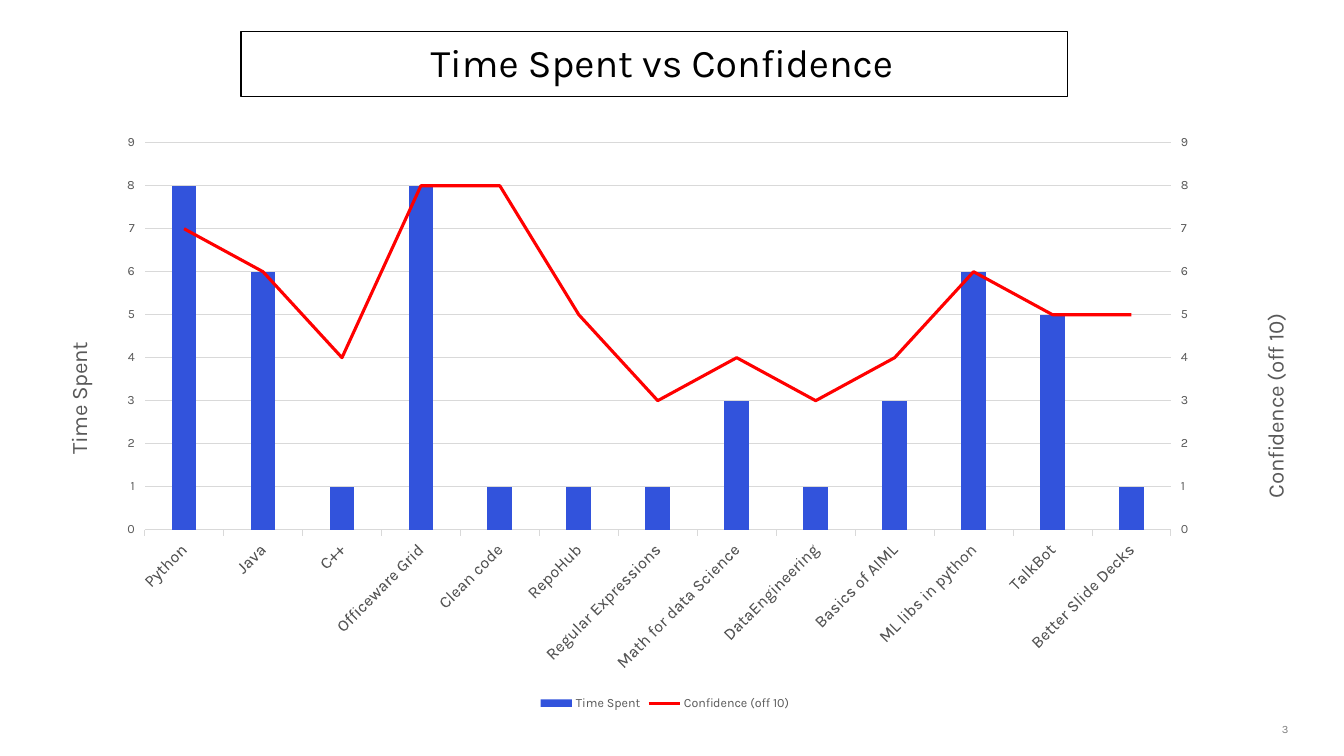
from dataclasses import dataclass

from pptx import Presentation
from pptx.chart.axis import ValueAxis
from pptx.chart.data import CategoryChartData
from pptx.dml.color import RGBColor
from pptx.enum.chart import XL_CHART_TYPE as ChartType
from pptx.enum.chart import XL_LEGEND_POSITION as LegendPosition
from pptx.enum.chart import XL_MARKER_STYLE as MarkerStyle
from pptx.enum.chart import XL_TICK_MARK as TickMark
from pptx.enum.text import MSO_ANCHOR as Anchor
from pptx.enum.text import PP_ALIGN as Align
from pptx.oxml import parse_xml
from pptx.oxml.ns import nsdecls, qn
from pptx.util import Inches, Pt


@dataclass(frozen=True)
class Theme:
    font: str = "Karla"
    ink: str = "000000"
    label: str = "595959"
    page: str = "808080"
    grid: str = "D9D9D9"
    bar: str = "3253DC"
    line: str = "FF0000"
    title_size: float = 28
    axis_title_size: float = 16
    category_size: float = 12
    small_size: float = 9
    page_size: float = 8


THEME = Theme()
TIME, CONFIDENCE = "Time Spent", "Confidence (off 10)"
SKILLS = [  # skill, time spent, confidence
    ("Python", 8, 7), ("Java", 6, 6), ("C++", 1, 4),
    ("Officeware Grid", 8, 8), ("Clean code", 1, 8), ("RepoHub", 1, 5),
    ("Regular Expressions", 1, 3), ("Math for data Science", 3, 4),
    ("DataEngineering", 1, 3), ("Basics of AIML", 3, 4),
    ("ML libs in python", 6, 6), ("TalkBot", 5, 5),
    ("Better Slide Decks", 1, 5),
]


def rgb(value):
    return RGBColor.from_string(value)


def style_font(font, size, color):
    formats = {"name": THEME.font, "size": Pt(size), "bold": False}
    for name, value in formats.items():
        setattr(font, name, value)
    font.color.rgb = rgb(color)


def style_line(line, color, width):
    line.color.rgb = rgb(color)
    line.width = Pt(width)


def write_text(shape, text, size, color, align, spacing, frame_formats):
    frame = shape.text_frame
    for name, value in frame_formats.items():
        setattr(frame, name, value)
    paragraph = frame.paragraphs[0]
    paragraph.alignment, paragraph.line_spacing = align, spacing
    run = paragraph.add_run()
    run.text = text
    style_font(run.font, size, color)


def add_heading(slide):
    heading = slide.shapes.title
    bounds = {"left": 2.39, "top": 0.31, "width": 8.2, "height": 0.65}
    for name, value in bounds.items():
        setattr(heading, name, Inches(value))
    style_line(heading.line, THEME.ink, 0.75)
    write_text(heading, "Time Spent vs Confidence", THEME.title_size,
               THEME.ink, Align.CENTER, 0.95,
               {"margin_left": Inches(0.15), "margin_right": 0,
                "margin_top": Inches(0.1), "margin_bottom": Inches(0.1),
                "vertical_anchor": Anchor.MIDDLE, "word_wrap": True})


def add_page_number(slide):
    number = slide.shapes.add_textbox(Inches(12), Inches(7.14),
                                      Inches(0.78), Inches(0.15))
    write_text(number, "3", THEME.page_size, THEME.page, Align.RIGHT, 1.25,
               {"margin_left": 0, "margin_right": 0, "margin_top": 0,
                "margin_bottom": 0, "vertical_anchor": Anchor.MIDDLE,
                "word_wrap": True})


def place(parent, index, x, y, size=None):
    """Give a chart part a fixed place, in fractions of the chart."""
    for old in parent.findall(qn("c:layout")):
        parent.remove(old)
    values = {"xMode": "edge", "yMode": "edge", "x": x, "y": y}
    target = ""
    if size:
        target = '<c:layoutTarget val="inner"/>'
        values.update(w=size[0], h=size[1])
    items = "".join(f'<c:{key} val="{value}"/>' for key, value in values.items())
    parent.insert(index, parse_xml(
        f'<c:layout {nsdecls("c")}><c:manualLayout>{target}{items}'
        '</c:manualLayout></c:layout>'))


def style_axis(axis, size):
    axis.major_tick_mark = TickMark.OUTSIDE
    axis.minor_tick_mark = TickMark.NONE
    style_font(axis.tick_labels.font, size, THEME.label)


def style_value_axis(axis, title, x, y):
    style_axis(axis, THEME.small_size)
    scale = {"minimum_scale": 0, "maximum_scale": 9, "major_unit": 1}
    for name, value in scale.items():
        setattr(axis, name, value)
    axis.format.line.fill.background()
    run = axis.axis_title.text_frame.paragraphs[0].add_run()
    run.text = title
    style_font(run.font, THEME.axis_title_size, THEME.label)
    element = axis.axis_title.element
    body = element.find(".//" + qn("a:bodyPr"))
    body.set("rot", "-5400000")
    body.set("vert", "horz")
    place(element, 1, x, y)


def move_to_right_axis(plot_area):
    """Turn the second series into a line on its own axis."""
    bars = plot_area.find(qn("c:barChart"))
    series = bars.findall(qn("c:ser"))[1]
    bars.remove(series)
    for bar_only in series.findall(qn("c:invertIfNegative")):
        series.remove(bar_only)
    lines = parse_xml(
        f'<c:lineChart {nsdecls("c")}><c:grouping val="standard"/>'
        '<c:varyColors val="0"/><c:marker val="1"/>'
        '<c:axId val="5001"/><c:axId val="5002"/></c:lineChart>')
    lines.insert(2, series)
    bars.addnext(lines)

    def axis(kind, number, partner, hidden, side, crosses):
        return parse_xml(
            f'<c:{kind} {nsdecls("c")}><c:axId val="{number}"/>'
            '<c:scaling><c:orientation val="minMax"/></c:scaling>'
            f'<c:delete val="{hidden}"/><c:axPos val="{side}"/>'
            '<c:numFmt formatCode="General" sourceLinked="0"/>'
            '<c:majorTickMark val="out"/><c:minorTickMark val="none"/>'
            f'<c:tickLblPos val="nextTo"/><c:crossAx val="{partner}"/>'
            f'<c:crosses val="{crosses}"/></c:{kind}>')

    right = axis("valAx", 5002, 5001, 0, "r", "max")
    hidden = axis("catAx", 5001, 5002, 1, "b", "autoZero")
    plot_area.find(qn("c:valAx")).addnext(right)
    right.addnext(hidden)
    return ValueAxis(right)


def add_skill_chart(slide):
    skills, hours, confidence = zip(*SKILLS)
    data = CategoryChartData(number_format="General")
    data.categories = skills
    data.add_series(TIME, hours)
    data.add_series(CONFIDENCE, confidence)
    chart = slide.shapes.add_chart(
        ChartType.COLUMN_CLUSTERED, Inches(0.48), Inches(1.23),
        Inches(12.37), Inches(5.86), data).chart
    style_font(chart.font, 10, THEME.ink)
    chart.has_title = False

    # Axes
    style_axis(chart.category_axis, THEME.category_size)
    style_line(chart.category_axis.format.line, THEME.grid, 0.75)
    chart.element.xpath(".//c:catAx/c:txPr/a:bodyPr")[0].set("rot", "-2700000")
    style_value_axis(chart.value_axis, TIME, 0.01, 0.36)
    style_line(chart.value_axis.major_gridlines.format.line, THEME.grid, 0.75)
    plot_area = chart.element.find(".//" + qn("c:plotArea"))
    style_value_axis(move_to_right_axis(plot_area), CONFIDENCE, 0.98, 0.31)
    place(plot_area, 0, 0.078, 0.032, (0.832, 0.655))

    # Series
    bars, lines = chart.plots
    bars.gap_width = 219
    bars.vary_by_categories = False
    bar_fill = bars.series[0].format.fill
    bar_fill.solid()
    bar_fill.fore_color.rgb = rgb(THEME.bar)
    trend = lines.series[0]
    style_line(trend.format.line, THEME.line, 2.25)
    trend.marker.style = MarkerStyle.NONE
    trend.smooth = False

    # Legend
    chart.has_legend = True
    chart.legend.position = LegendPosition.BOTTOM
    chart.legend.include_in_layout = False
    style_font(chart.legend.font, THEME.small_size, THEME.label)


def main():
    deck = Presentation()
    deck.slide_width, deck.slide_height = Inches(13.33), Inches(7.5)
    slide = deck.slides.add_slide(deck.slide_layouts[5])
    add_page_number(slide)
    add_heading(slide)
    add_skill_chart(slide)
    deck.save("out.pptx")


if __name__ == "__main__":
    main()
